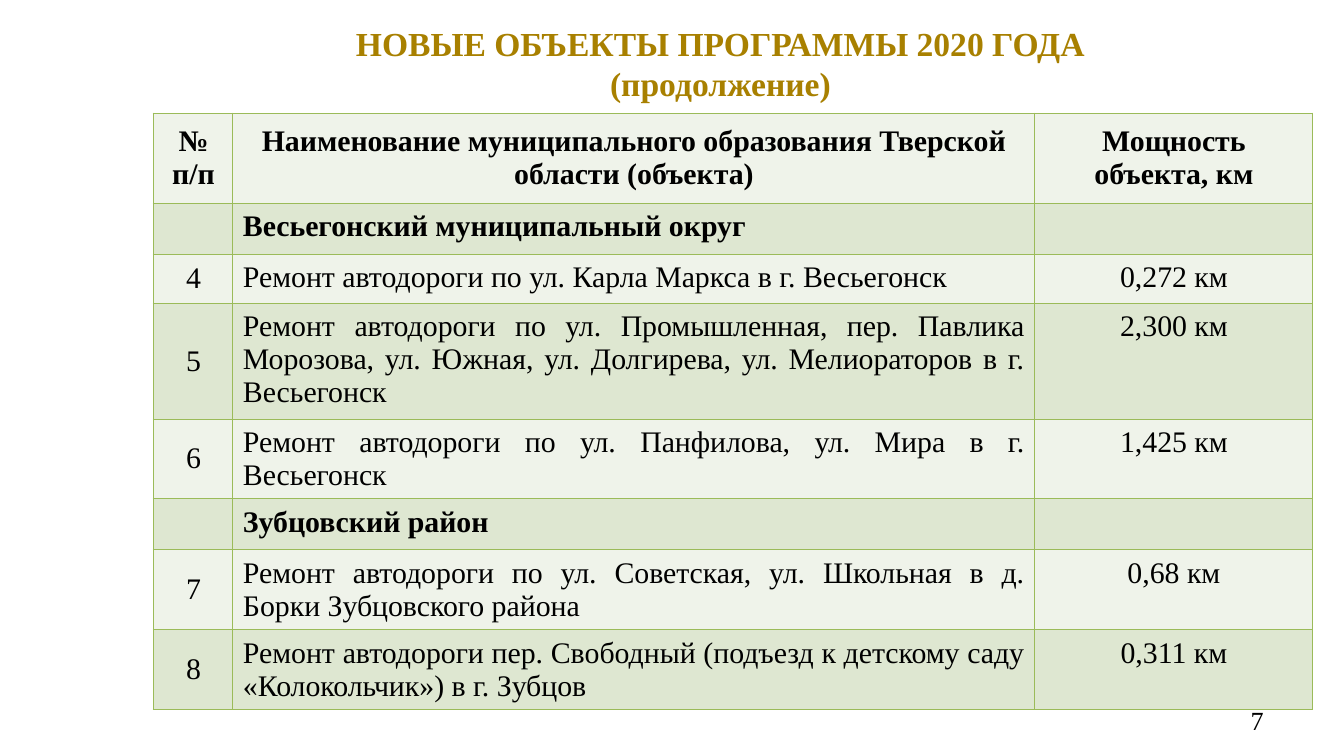
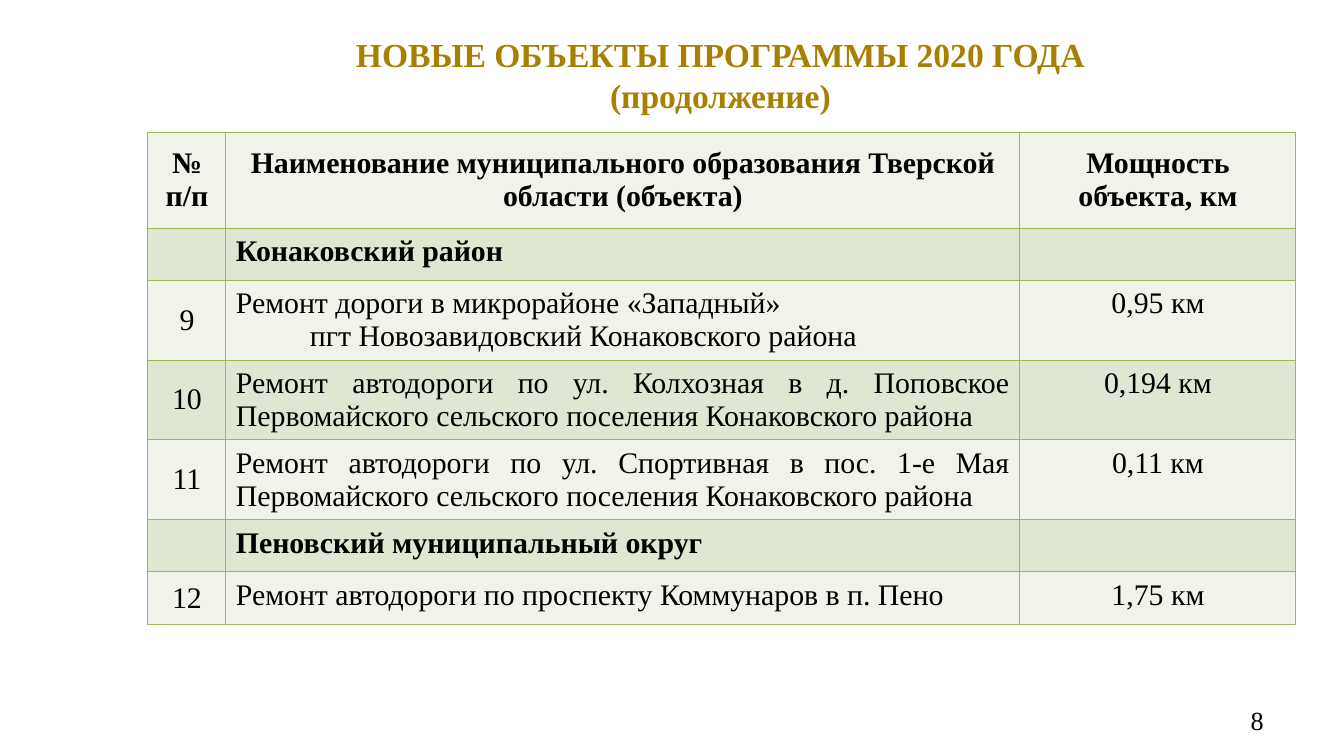
import pptx
import pptx.util
import pptx.dml.color
import pptx.enum.text
import pptx.oxml.ns
from lxml import etree

PX = 914400 / 134.4
FONT = "Times New Roman"
GOLD, BLACK, GREEN = "A88000", "000000", "9BBB59"
BANDS = ["EFF3EA", "DEE7D1"]
TITLE = ["НОВЫЕ ОБЪЕКТЫ ПРОГРАММЫ 2020 ГОДА", "(продолжение)"]
HEADER = ["№ п/п", "Наименование муниципального образования Тверской области (объекта)",
          "Мощность объекта, км"]
ALIGN = pptx.enum.text.PP_ALIGN
MIDDLE = pptx.enum.text.MSO_ANCHOR.MIDDLE
TOP = pptx.enum.text.MSO_ANCHOR.TOP
qn = pptx.oxml.ns.qn


def px(n):
    return pptx.util.Emu(round(n * PX))


def write(tf, lines, size, align, color=BLACK, bold=False):
    """Fill a text frame with one paragraph per line."""
    for i, line in enumerate(lines):
        p = tf.paragraphs[0] if i == 0 else tf.add_paragraph()
        p.alignment = align
        if line:
            r = p.add_run()
            r.text = line
            r.font.name = FONT
            r.font.size = pptx.util.Pt(size)
            r.font.bold = bold
            r.font.color.rgb = pptx.dml.color.RGBColor.from_string(color)
        # The paragraph end must not raise the line above the text size.
        end = etree.SubElement(p._p, qn("a:endParaRPr"), sz=str(size * 100))
        etree.SubElement(end, qn("a:latin"), typeface=FONT)


# A row with only a name is a district heading; "\n" starts an indented line.
slides = [
    {"page": "7", "title": (146, 0, 1149, 126), "table": (153, 113),
     "cols": [79, 802, 278], "heights": [90, 51, 49, 116, 80, 51, 80, 80],
     "rows": [
         ["", "Весьегонский муниципальный округ", ""],
         ["4", "Ремонт автодороги по ул. Карла Маркса в г. Весьегонск", "0,272 км"],
         ["5", "Ремонт автодороги по ул. Промышленная, пер. Павлика Морозова, ул. Южная, "
               "ул. Долгирева, ул. Мелиораторов в г. Весьегонск", "2,300 км"],
         ["6", "Ремонт автодороги по ул. Панфилова, ул. Мира в г. Весьегонск", "1,425 км"],
         ["", "Зубцовский район", ""],
         ["7", "Ремонт автодороги по ул. Советская, ул. Школьная в д. Борки "
               "Зубцовского района", "0,68 км"],
         ["8", "Ремонт автодороги пер. Свободный (подъезд к детскому саду "
               "«Колокольчик») в г. Зубцов", "0,311 км"]]},
    {"page": "8", "title": (146, 22, 1149, 105), "table": (147, 132),
     "cols": [78, 794, 276], "heights": [96, 52, 80, 80, 80, 52, 53],
     "rows": [
         ["", "Конаковский район", ""],
         ["9", "Ремонт дороги в микрорайоне «Западный»\n"
               "пгт Новозавидовский Конаковского района", "0,95 км"],
         ["10", "Ремонт автодороги по ул. Колхозная в д. Поповское Первомайского "
                "сельского поселения Конаковского района", "0,194 км"],
         ["11", "Ремонт автодороги по ул. Спортивная в пос. 1-е Мая Первомайского "
                "сельского поселения Конаковского района", "0,11 км"],
         ["", "Пеновский муниципальный округ", ""],
         ["12", "Ремонт автодороги по проспекту Коммунаров в п. Пено", "1,75 км"]]},
]

prs = pptx.Presentation()
prs.slide_width, prs.slide_height = px(1344), px(756)

for data in slides:
    s = prs.slides.add_slide(prs.slide_layouts[5])

    title = s.shapes.title
    title.left, title.top, title.width, title.height = map(px, data["title"])
    tf = title.text_frame
    tf.word_wrap = True
    tf.auto_size = pptx.enum.text.MSO_AUTO_SIZE.NONE
    tf.vertical_anchor = MIDDLE
    write(tf, TITLE, 18, ALIGN.CENTER, GOLD, True)

    rows = [HEADER] + data["rows"]
    left, top = data["table"]
    table = s.shapes.add_table(len(rows), 3, px(left), px(top), px(sum(data["cols"])),
                               px(sum(data["heights"]))).table
    table.first_row = table.horz_banding = False
    for column, width in zip(table.columns, data["cols"]):
        column.width = px(width)

    for i, row in enumerate(rows):
        table.rows[i].height = px(data["heights"][i])
        for j, text in enumerate(row):
            cell = table.cell(i, j)
            cell.margin_left, cell.margin_right = px(11), px(9)
            if i == 0 or j == 0:
                cell.vertical_anchor = MIDDLE
            else:
                cell.vertical_anchor = TOP
                cell.margin_bottom = px(1)
            align = ALIGN.JUSTIFY if i > 0 and j == 1 else ALIGN.CENTER
            tf = cell.text_frame
            write(tf, text.split("\n"), 16, align, bold=i == 0 or not row[0])
            for p in tf.paragraphs[1:]:
                p._p.get_or_add_pPr().set("marL", str(px(74)))

            tcPr = cell._tc.get_or_add_tcPr()
            for side in ("a:lnL", "a:lnR", "a:lnT", "a:lnB"):
                ln = etree.SubElement(tcPr, qn(side), w=str(pptx.util.Pt(0.45)))
                fill = etree.SubElement(ln, qn("a:solidFill"))
                etree.SubElement(fill, qn("a:srgbClr"), val=GREEN)
            cell.fill.solid()
            cell.fill.fore_color.rgb = pptx.dml.color.RGBColor.from_string(BANDS[i % 2])

    tf = s.shapes.add_textbox(px(964), px(700), px(313), px(40)).text_frame
    tf.word_wrap = True
    tf.vertical_anchor = MIDDLE
    write(tf, [data["page"]], 14, ALIGN.RIGHT)

prs.save("out.pptx")
